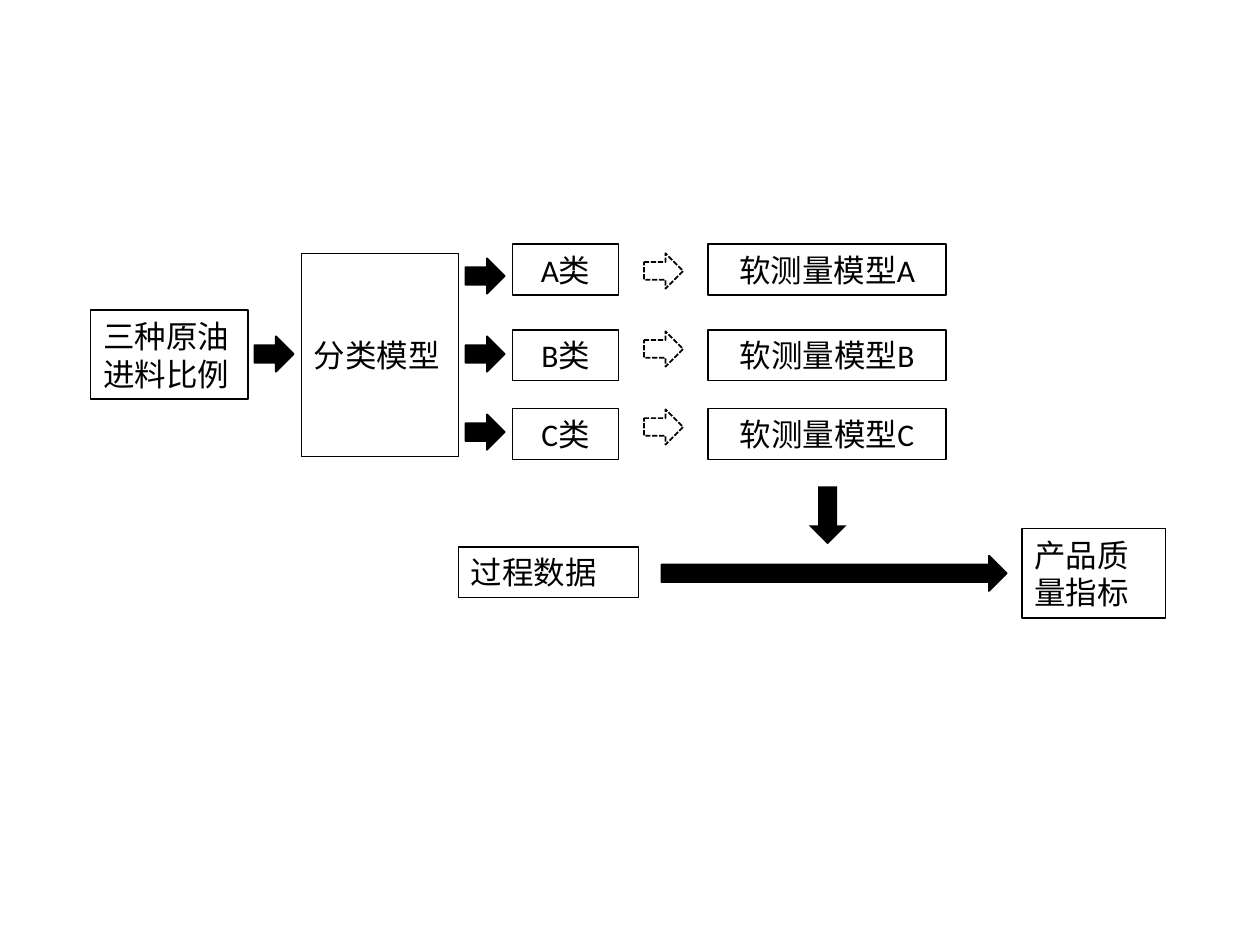
from pptx import Presentation
from pptx.dml.color import RGBColor
from pptx.enum import dml, shapes, text
from pptx.util import Pt

HUES = {"ink": "000000"}
INK = RGBColor.from_string(HUES["ink"])
KIND = shapes.MSO_SHAPE
ALIGN = text.PP_ALIGN
FONT = {"name": "Calibri", "size": Pt(18), "bold": False}
FRAME = {
    "word_wrap": True,
    "vertical_anchor": text.MSO_ANCHOR.MIDDLE,
    "margin_left": Pt(7.2),
    "margin_right": Pt(7.2),
    "margin_top": Pt(3.6),
    "margin_bottom": Pt(3.6),
}


def apply(item, style):
    for key, value in style.items():
        setattr(item, key, value)


def add_form(slide, kind, area, solid=False, width=1.0):
    form = slide.shapes.add_shape(kind, *map(Pt, area))
    form.shadow.inherit = False
    if solid:
        form.fill.solid()
        form.fill.fore_color.rgb = INK
    else:
        form.fill.background()
    if width:
        form.line.color.rgb = INK
        form.line.width = Pt(width)
    else:
        form.line.fill.background()
    return form


def add_box(slide, label, area, align=ALIGN.LEFT):
    frame = add_form(slide, KIND.RECTANGLE, area, width=0.75).text_frame
    apply(frame, FRAME)
    para = frame.paragraphs[0]
    para.alignment = align
    run = para.add_run()
    run.text = label
    apply(run.font, FONT)
    run.font.color.rgb = INK


def add_arrow(slide, left, top, width=22.4, dashed=False):
    area = (left, top, width, 20.2)
    arrow = add_form(slide, KIND.RIGHT_ARROW, area, solid=not dashed)
    if dashed:
        arrow.line.dash_style = dml.MSO_LINE.SQUARE_DOT


def add_row(slide, index, letter, top):
    add_box(slide, letter + "类", (293, top, 60.5, 29.1), ALIGN.CENTER)
    add_box(slide, "软测量模型" + letter, (404.6, top, 136.1, 29.1), ALIGN.CENTER)
    shift = index * 44.6
    add_arrow(slide, 266, 147.6 + shift)
    add_arrow(slide, 368, 144.7 + shift, dashed=True)


def main():
    deck = Presentation()
    apply(deck, {"slide_width": Pt(720), "slide_height": Pt(540)})
    slide = deck.slides.add_slide(deck.slide_layouts[6])

    add_box(slide, "三种原油进料比例", (51.8, 177.1, 90, 51))
    add_arrow(slide, 145.4, 192.2)
    add_box(slide, "分类模型", (172.1, 144.7, 90, 116.4))

    for index, (letter, top) in enumerate(zip("ABC", (139.5, 188.5, 233.5))):
        add_row(slide, index, letter, top)

    add_box(slide, "过程数据", (262, 312.5, 103, 29.1))
    add_form(slide, KIND.DOWN_ARROW, (462.2, 277.9, 21.6, 33.1), True, 0)
    add_arrow(slide, 378, 317.5, 197.3)
    add_box(slide, "产品质量指标", (584, 302.2, 82, 51))

    deck.save("out.pptx")


main()
